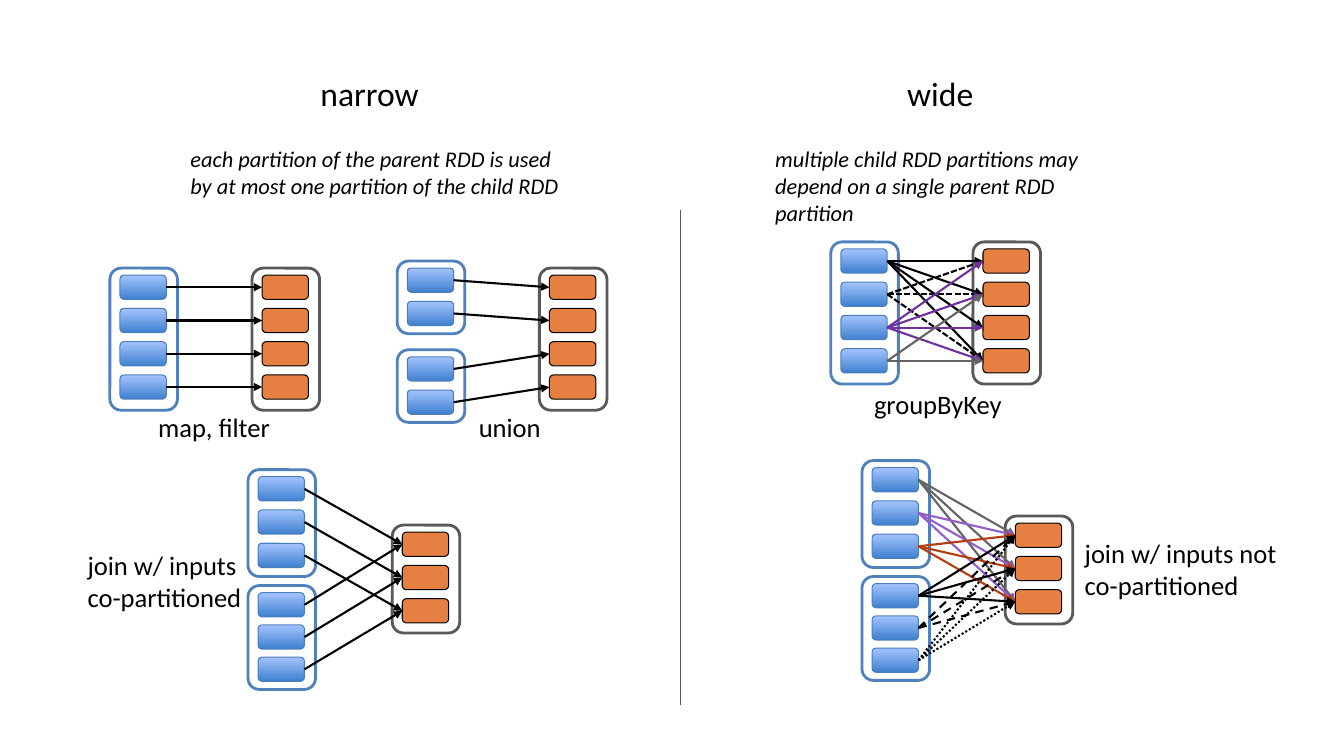
from dataclasses import dataclass

from pptx import Presentation
from pptx.dml.color import RGBColor
from pptx.enum.dml import MSO_LINE
from pptx.enum.shapes import MSO_CONNECTOR, MSO_SHAPE
from pptx.enum.text import MSO_AUTO_SIZE
from pptx.oxml.ns import qn
from pptx.oxml.xmlchemy import OxmlElement
from pptx.shapes.autoshape import Shape
from pptx.shapes.connector import Connector
from pptx.slide import Slide
from pptx.util import Inches, Pt

ROUND = MSO_SHAPE.ROUNDED_RECTANGLE
STRAIGHT = MSO_CONNECTOR.STRAIGHT
FIT = MSO_AUTO_SIZE.SHAPE_TO_FIT_TEXT
SOLID, DASH = MSO_LINE.SOLID, MSO_LINE.DASH
SHORT, DOT = MSO_LINE.SQUARE_DOT, MSO_LINE.ROUND_DOT

FONT = "Calibri"
COLORS = {
    "white": "FFFFFF", "black": "000000", "dark": "595959", "gray": "646464",
    "blue": "4F81BD", "edge": "4B7EBC", "deep": "3F80CE", "pale": "A4C4FF",
    "orange": "E68042", "purple": "7030A0", "violet": "915CCC", "rust": "B63D0F",
}

# Partition size and its inset in the RDD frame
FRAME_W, PART_W, PART_H = 0.67, 0.46, 0.24
PAD_X, PAD_Y = 0.1, 0.07


@dataclass
class Rdd:
    x: float
    y: float
    h: float
    count: int
    child: bool = False
    step: float = 0.33

    def top(self, i: int) -> float:
        return self.y + PAD_Y + i * self.step

    def mid(self, i: int) -> float:
        return self.top(i) + PART_H / 2


@dataclass
class Fan:
    """Arrows from one parent partition to some child partitions."""
    start: int
    ends: tuple[int, ...]
    color: str = "black"
    dash: MSO_LINE = SOLID


@dataclass
class Graph:
    child: Rdd
    parents: list[Rdd]
    fans: list[Fan]


@dataclass
class Label:
    text: str
    x: float
    y: float
    w: float
    h: float
    size: int = 19
    italic: bool = False


ALL3, ALL4 = (0, 1, 2), (0, 1, 2, 3)


def join(x: float, y: float, gap: float, drop: float, fans: list[Fan]) -> Graph:
    """Two parents of three partitions each, and one child."""
    child = Rdd(x + gap, y + drop, 1.07, 3, True)
    return Graph(child, [Rdd(x, y, 1.06, 3), Rdd(x, y + 1.15, 1.03, 3, step=0.32)], fans)


GRAPHS = [
    # map, filter
    Graph(Rdd(2.5, 2.66, 1.41, 4, True), [Rdd(1.09, 2.66, 1.41, 4)],
          [Fan(i, (i,)) for i in range(4)]),
    # union
    Graph(Rdd(5.35, 2.66, 1.41, 4, True),
          [Rdd(3.94, 2.59, 0.72, 2), Rdd(3.94, 3.47, 0.72, 2)],
          [Fan(i, (i,)) for i in range(4)]),
    # groupByKey
    Graph(Rdd(9.65, 2.4, 1.41, 4, True), [Rdd(8.24, 2.4, 1.41, 4)],
          [Fan(0, ALL4), Fan(1, (0, 1, 3), dash=SHORT),
           Fan(2, ALL4, "purple"), Fan(3, (1, 3), "gray")]),
    # join, co-partitioned
    join(2.46, 4.66, 1.43, 0.55, [Fan(i, (i % 3,)) for i in range(6)]),
    # join, not co-partitioned
    join(8.55, 4.57, 1.42, 0.55,
         [Fan(0, ALL3, "gray"), Fan(1, ALL3, "violet"), Fan(2, ALL3, "rust"),
          Fan(3, ALL3), Fan(4, ALL3, dash=DASH), Fan(5, ALL3, dash=DOT)]),
]

LABELS = [
    Label("narrow", 3.08, 0.67, 1.23, 0.5, 24),
    Label("wide", 8.9, 0.67, 0.87, 0.5, 24),
    Label("each partition of the parent RDD is used by at most one partition "
          "of the child RDD", 1.79, 1.39, 4, 0.64, 16, True),
    Label("multiple child RDD partitions may depend on a single parent RDD "
          "partition", 7.59, 1.39, 3.75, 0.64, 16, True),
    Label("map, filter", 1.47, 4.03, 1.41, 0.4),
    Label("union", 4.65, 4.03, 1.41, 0.4),
    Label("groupByKey", 8.57, 3.8, 1.52, 0.4),
    Label("join w/ inputs\nco-partitioned", 0.77, 5.4, 3.13, 0.71),
    Label("join w/ inputs not\nco-partitioned", 10.66, 5.28, 3.13, 0.71),
]


def rgb(name: str) -> RGBColor:
    return RGBColor.from_string(COLORS[name])


def box(slide: Slide, x: float, y: float, w: float, h: float,
        fill: str, edge: str, width: float) -> Shape:
    shape = slide.shapes.add_shape(ROUND, Inches(x), Inches(y), Inches(w), Inches(h))
    shape.shadow.inherit = False
    shape.fill.solid()
    shape.fill.fore_color.rgb = rgb(fill)
    shape.line.color.rgb = rgb(edge)
    shape.line.width = Pt(width)
    return shape


def draw_rdd(slide: Slide, rdd: Rdd) -> None:
    box(slide, rdd.x, rdd.y, FRAME_W, rdd.h, "white", "dark" if rdd.child else "blue", 2)
    for i in range(rdd.count):
        part = box(slide, rdd.x + PAD_X, rdd.top(i), PART_W, PART_H,
                   "orange", "black" if rdd.child else "edge", 0.75)
        if not rdd.child:
            part.fill.gradient()
            part.fill.gradient_angle = 90
            for stop, name in zip(part.fill.gradient_stops, ("deep", "pale")):
                stop.color.rgb = rgb(name)


def draw_line(slide: Slide, x1: float, y1: float, x2: float, y2: float,
              color: str, width: float) -> Connector:
    line = slide.shapes.add_connector(STRAIGHT, Inches(x1), Inches(y1), Inches(x2), Inches(y2))
    line.line.color.rgb = rgb(color)
    line.line.width = Pt(width)
    line._element.spPr.append(OxmlElement("a:effectLst"))
    return line


def draw_graph(slide: Slide, graph: Graph) -> None:
    child = graph.child
    for rdd in [child, *graph.parents]:
        draw_rdd(slide, rdd)
    starts = [(rdd.x + PAD_X + PART_W, rdd.mid(i))
              for rdd in graph.parents for i in range(rdd.count)]
    for fan in graph.fans:
        for end in fan.ends:
            arrow = draw_line(slide, *starts[fan.start], child.x + PAD_X, child.mid(end),
                              fan.color, 1.5)
            arrow.line.dash_style = fan.dash
            head = OxmlElement("a:tailEnd")
            head.set("type", "triangle")
            arrow._element.spPr.find(qn("a:ln")).append(head)


def draw_label(slide: Slide, label: Label) -> None:
    shape = slide.shapes.add_textbox(Inches(label.x), Inches(label.y),
                                     Inches(label.w), Inches(label.h))
    frame = shape.text_frame
    frame.word_wrap = True
    frame.auto_size = FIT
    frame.text = label.text
    for para in frame.paragraphs:
        for run in para.runs:
            run.font.name = FONT
            run.font.size = Pt(label.size)
            run.font.italic = label.italic
            run.font.color.rgb = rgb("black")


def main() -> None:
    deck = Presentation()
    deck.slide_width, deck.slide_height = Inches(13.33), Inches(7.5)
    slide = deck.slides.add_slide(deck.slide_layouts[6])
    for graph in GRAPHS:
        draw_graph(slide, graph)
    # Divider between narrow and wide
    draw_line(slide, 6.75, 2.08, 6.75, 6.99, "dark", 1.25)
    for label in LABELS:
        draw_label(slide, label)
    deck.save("out.pptx")


if __name__ == "__main__":
    main()
